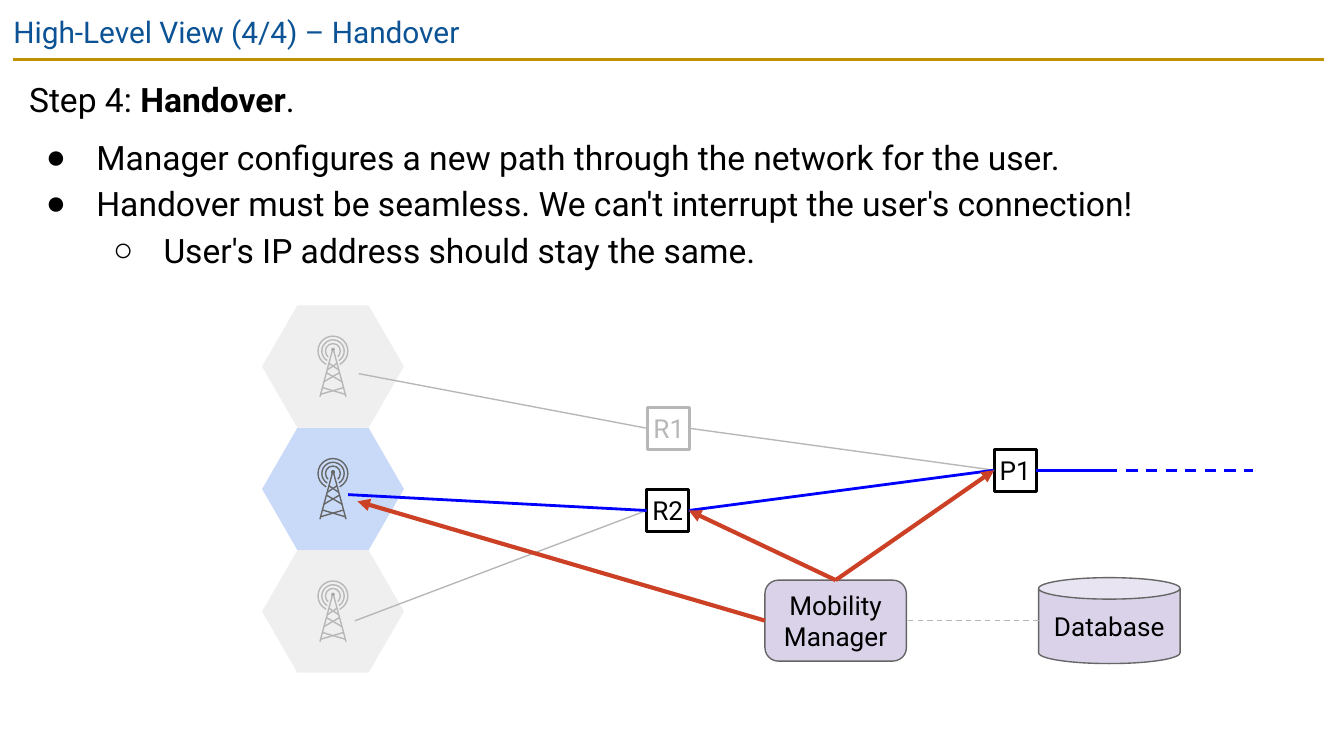
from lxml.etree import SubElement
from pptx import Presentation
from pptx.dml.color import RGBColor
from pptx.enum.dml import MSO_LINE
from pptx.enum.shapes import MSO_CONNECTOR, MSO_SHAPE
from pptx.enum.text import MSO_ANCHOR, MSO_AUTO_SIZE, PP_ALIGN
from pptx.oxml.ns import qn
from pptx.shapes.base import BaseShape
from pptx.util import Pt

BLACK = RGBColor(0x00, 0x00, 0x00)
WHITE = RGBColor(0xFF, 0xFF, 0xFF)
NAVY = RGBColor(0x0B, 0x53, 0x94)
GOLD = RGBColor(0xBF, 0x90, 0x00)
IDLE = RGBColor(0xB7, 0xB7, 0xB7)
STEEL = RGBColor(0x66, 0x66, 0x66)
IDLE_CELL = RGBColor(0xEF, 0xEF, 0xEF)
ACTIVE_CELL = RGBColor(0xC9, 0xDA, 0xF8)
LILAC = RGBColor(0xD9, 0xD2, 0xE9)
BLUE = RGBColor(0x00, 0x00, 0xFF)
RED = RGBColor(0xCC, 0x41, 0x25)

TOP, LEFT, BOTTOM, RIGHT = range(4)  # connection sites of a box


class Deck:
    font = "Roboto"
    margin = 7.2

    def __init__(self):
        self.presentation = Presentation()
        self.presentation.slide_width = Pt(720)
        self.presentation.slide_height = Pt(405)
        self.slide = self.presentation.slides.add_slide(
            self.presentation.slide_layouts[1])
        self.shapes = self.slide.shapes

    def style(self, font, size, color, bold=False):
        font.name, font.size, font.bold = self.font, Pt(size), bold
        font.color.rgb = color

    def frame(self, shape, anchor, inset):
        frame = shape.text_frame
        frame.word_wrap = True
        frame.auto_size = MSO_AUTO_SIZE.NONE
        frame.vertical_anchor = anchor
        frame.margin_left = frame.margin_right = Pt(inset)
        frame.margin_top = frame.margin_bottom = Pt(inset)
        return frame

    def place(self, shape, left, top, width, height):
        shape.left, shape.top = Pt(left), Pt(top)
        shape.width, shape.height = Pt(width), Pt(height)

    def title(self, text, *box):
        self.place(self.shapes.title, *box)
        frame = self.frame(self.shapes.title, MSO_ANCHOR.TOP, self.margin)
        frame.text = text
        frame.paragraphs[0].alignment = PP_ALIGN.LEFT
        self.style(frame.paragraphs[0].runs[0].font, 16, NAVY)

    def body(self, items, *box):
        """Each item is (bullet, level, space before, runs); runs are (text, bold)."""
        placeholder = self.slide.placeholders[1]
        self.place(placeholder, *box)
        frame = self.frame(placeholder, MSO_ANCHOR.TOP, self.margin)
        for number, (bullet, level, before, runs) in enumerate(items):
            paragraph = frame.add_paragraph() if number else frame.paragraphs[0]
            paragraph.level = level
            self.bullet(paragraph, bullet, level)
            paragraph.line_spacing = 1.15
            paragraph.space_before = Pt(before)
            for text, bold in runs:
                run = paragraph.add_run()
                run.text = text
                self.style(run.font, 18, BLACK, bold)

    def bullet(self, paragraph, char, level):
        properties = paragraph._p.get_or_add_pPr()
        properties.set("marL", str(Pt(36 * (level + 1)) if char else 0))
        properties.set("indent", str(Pt(-27) if char else 0))
        if not char:
            SubElement(properties, qn("a:buNone"))
            return
        color = SubElement(properties, qn("a:buClr"))
        SubElement(color, qn("a:srgbClr"), val=str(BLACK))
        SubElement(properties, qn("a:buChar"), char=char)

    def shape(self, kind, box, fill=None, line=None, width=0.75, adjust=(), group=None):
        shape = (group or self.slide).shapes.add_shape(kind, *map(Pt, box))
        shape.shadow.inherit = False
        for index, value in enumerate(adjust):
            shape.adjustments[index] = value
        if fill is None:
            shape.fill.background()
        else:
            shape.fill.solid()
            shape.fill.fore_color.rgb = fill
        if line is None:
            shape.line.fill.background()
        else:
            shape.line.color.rgb = line
            shape.line.width = Pt(width)
        return shape

    def label(self, shape, text, color=BLACK, inset=margin):
        frame = self.frame(shape, MSO_ANCHOR.MIDDLE, inset)
        frame.text = text
        frame.paragraphs[0].alignment = PP_ALIGN.CENTER
        self.style(frame.paragraphs[0].runs[0].font, 14, color)
        return shape

    def router(self, text, left, top, color=BLACK):
        box = self.shape(MSO_SHAPE.RECTANGLE, (left, top, 22.6, 22.6), WHITE, color, 1.5)
        return self.label(box, text, color, 0)

    def line(self, start, end, color, width=0.75, dashed=False, arrow=False, group=None):
        """Each end is a point (x, y) or a connection (shape, site)."""
        glued = [isinstance(stop[0], BaseShape) for stop in (start, end)]
        points = [(0, 0) if glue else stop for stop, glue in zip((start, end), glued)]
        line = (group or self.slide).shapes.add_connector(
            MSO_CONNECTOR.STRAIGHT, *(Pt(value) for point in points for value in point))
        if glued[0]:
            line.begin_connect(*start)
        if glued[1]:
            line.end_connect(*end)
        line.line.color.rgb = color
        line.line.width = Pt(width)
        if dashed:
            line.line.dash_style = MSO_LINE.DASH
        if arrow:
            SubElement(line.line._get_or_add_ln(), qn("a:tailEnd"), type="triangle")
        SubElement(line._element.spPr, qn("a:effectLst"))

    def tower(self, x, y, color):
        """Radio mast with its apex at (x, y)."""
        mast = self.shapes.add_group_shape()
        for side in (-1, 1):
            self.line((x, y), (x + 7 * side, y + 26), color, group=mast)
            # Cross braces: near end, far end
            for (x1, y1), (x2, y2) in (((2.2, 8), (2.8, 11.4)),
                                       ((3.6, 13), (5, 18)),
                                       ((5.8, 21), (6.4, 24.6))):
                self.line((x - x1 * side, y + y1), (x + x2 * side, y + y2),
                          color, group=mast)
        # Signal rings, open at the bottom
        for size, angles in ((16, (70.01, 38.01)), (12, (72.89, 35.08)),
                             (8, (77.26, 29.81))):
            self.shape(MSO_SHAPE.ARC, (x - size / 2, y + 1.5 - size / 2, size, size),
                       line=color, adjust=angles, group=mast)
        self.shape(MSO_SHAPE.OVAL, (x - 0.7, y, 1.4, 1.4), STEEL, color, group=mast)

    def cell(self, left, top, fill, ink):
        self.shape(MSO_SHAPE.HEXAGON, (left, top, 76, 65.6), fill, adjust=(0.289, 1.155))
        self.tower(left + 38, top + 23, ink)


def main():
    deck = Deck()

    # Heading and points
    deck.line((7.2, 31.8), (709.2, 31.8), GOLD, 1.5)
    deck.title("High-Level View (4/4) – Handover", 0, 0, 720, 31)
    deck.body([
        (None, 0, 0, [("Step 4: ", False), ("Handover", True), (".", False)]),
        ("●", 0, 6, [("Manager configures a new path through the network for the user.", False)]),
        ("●", 0, 0, [("Handover must be seamless. We can't interrupt the user's connection!", False)]),
        ("○", 1, 0, [("User's IP address should stay the same.", False)]),
    ], 8.4, 32, 701.6, 116.6)

    # Radio cells, the middle one in use
    for row, (fill, ink) in enumerate(((IDLE_CELL, IDLE), (ACTIVE_CELL, STEEL),
                                       (IDLE_CELL, IDLE))):
        deck.cell(140.4, 163.6 + 65.6 * row, fill, ink)

    # Network nodes
    r1 = deck.router("R1", 347, 218.2, IDLE)
    r2 = deck.router("R2", 346.4, 262.2)
    p1 = deck.router("P1", 532.6, 240.6)
    manager = deck.label(deck.shape(MSO_SHAPE.ROUNDED_RECTANGLE, (409.8, 310.8, 75.8, 43.4),
                                    LILAC, STEEL), "Mobility Manager")
    deck.label(deck.shape(MSO_SHAPE.CAN, (556.4, 309.5, 75.8, 46), LILAC, STEEL), "Database")

    # Idle links
    deck.line((r1, LEFT), (192.2, 200.2), IDLE)
    deck.line((r2, LEFT), (190.1, 332.6), IDLE)
    deck.line((r1, RIGHT), (p1, LEFT), IDLE)
    deck.line((556.4, 332.5), (manager, RIGHT), IDLE, dashed=True)

    # New path of the user
    deck.line((r2, LEFT), (186.5, 265), BLUE, 1.5)
    deck.line((r2, RIGHT), (p1, LEFT), BLUE, 1.5)
    deck.line((p1, RIGHT), (598.3, 251.9), BLUE, 1.5)
    deck.line((603.4, 251.9), (671, 251.9), BLUE, 1.5, dashed=True)

    # Instructions from the manager
    for site, target in ((TOP, (r2, RIGHT)), (LEFT, (191.5, 268.6)), (TOP, (p1, LEFT))):
        deck.line((manager, site), target, RED, 2.25, arrow=True)

    deck.presentation.save("out.pptx")


if __name__ == "__main__":
    main()
